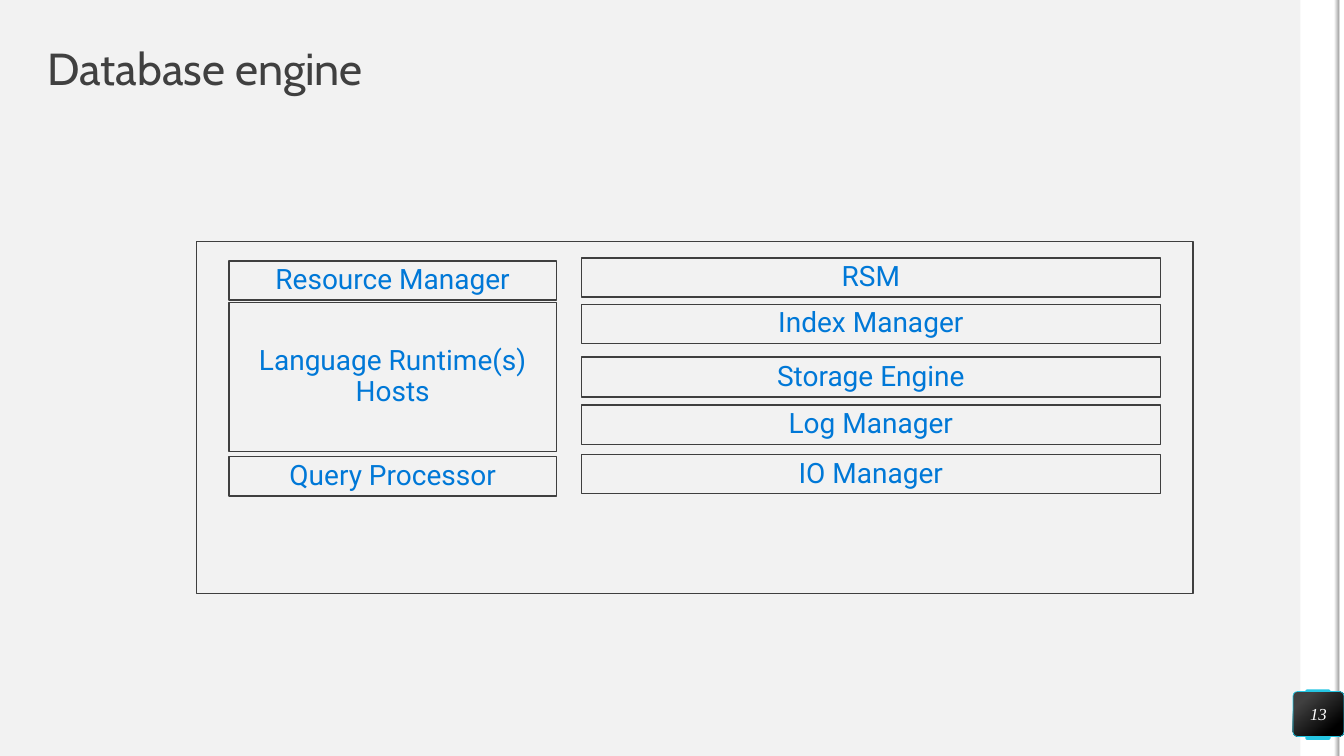
from pptx import Presentation
from pptx import util as u
from pptx.dml import color
from pptx.enum import shapes, text

TITLE = "Database engine"
PAGE_NUMBER = "13"
ROW_HEIGHT = 28
COLUMNS = [
    {"left": 163.5, "width": 234, "rows": [
        ("Resource Manager", 186.4, ROW_HEIGHT),
        ("Language Runtime(s) Hosts", 216, 106.5),
        ("Query Processor", 326.2, ROW_HEIGHT),
    ]},
    {"left": 415.4, "width": 413.4, "rows": [
        ("RSM", 184.3, ROW_HEIGHT),
        ("Index Manager", 217.4, ROW_HEIGHT),
        ("Storage Engine", 254.9, 28.8),
        ("Log Manager", 289.4, ROW_HEIGHT),
        ("IO Manager", 324.7, ROW_HEIGHT),
    ]},
]
ENGINE_FRAME = (140.4, 172.6, 711.8, 251.3)
THEME = {
    "background": "F2F2F2", "white": "FFFFFF", "accent": "25C6E3",
    "edge": "A6A6A6", "badge_light": "404040", "badge_dark": "000000",
    "outline": "3F3F3F", "title": "404040", "label": "0078D7",
    "title_font": "Cabin", "label_font": "Roboto", "number_font": "Times New Roman",
    "title_size": 32, "label_size": 20, "number_size": 12,
}
WIDTH, HEIGHT = 960, 540
RECTANGLE = shapes.MSO_SHAPE.RECTANGLE
ROUNDED = shapes.MSO_SHAPE.ROUNDED_RECTANGLE


def rgb(name):
    return color.RGBColor.from_string(THEME[name])


def add_box(slide, bounds, fill=None, line=None, line_width=1, kind=RECTANGLE, corner=None):
    shape = slide.shapes.add_shape(kind, *map(u.Pt, bounds))
    shape.shadow.inherit = False
    if corner is not None:
        shape.adjustments[0] = corner
    if fill:
        shape.fill.solid()
        shape.fill.fore_color.rgb = rgb(fill)
    else:
        shape.fill.background()
    if line:
        shape.line.color.rgb = rgb(line)
        shape.line.width = u.Pt(line_width)
    else:
        shape.line.fill.background()
    return shape


def set_gradient(shape, angle, stops):
    shape.fill.gradient()
    shape.fill.gradient_angle = angle
    for stop, (name, position) in zip(shape.fill.gradient_stops, stops):
        stop.color.rgb = rgb(name)
        stop.position = position


def write(shape, words, role, tint, align, margin=0, spacing=None):
    frame = shape.text_frame
    frame.word_wrap = True
    frame.vertical_anchor = text.MSO_ANCHOR.MIDDLE
    frame.margin_left = frame.margin_right = u.Pt(margin)
    frame.margin_top = frame.margin_bottom = 0
    paragraph = frame.paragraphs[0]
    paragraph.text = words
    paragraph.alignment = align
    paragraph.line_spacing = spacing
    paragraph.font.name = THEME[role + "_font"]
    paragraph.font.size = u.Pt(THEME[role + "_size"])
    paragraph.font.color.rgb = rgb(tint)
    return paragraph


def add_side_band(slide):
    add_box(slide, (928.8, 0, 28.1, HEIGHT), "white")
    add_box(slide, (929 + 3.4, 492.5, 18, 36), "accent", kind=ROUNDED, corner=0.07)
    add_box(slide, (956.5, 0, 3.5, HEIGHT), "white")
    edge = add_box(slide, (952.9, 0, 3.6, HEIGHT))
    set_gradient(edge, 0, [("white", 0), ("edge", 1)])


def add_badge(slide):
    badge = add_box(slide, (923.6, 494, 36.4, 32), line="accent", line_width=0.5,
                    kind=ROUNDED, corner=0.1)
    set_gradient(badge, 310, [("badge_light", 0.2), ("badge_dark", 0.82)])
    number = write(badge, PAGE_NUMBER, "number", "white", text.PP_ALIGN.CENTER)
    number.font.italic = True


def main():
    presentation = Presentation()
    presentation.slide_width, presentation.slide_height = u.Pt(WIDTH), u.Pt(HEIGHT)
    slide = presentation.slides.add_slide(presentation.slide_layouts[6])
    slide.background.fill.solid()
    slide.background.fill.fore_color.rgb = rgb("background")

    add_side_band(slide)
    title = slide.shapes.add_textbox(*map(u.Pt, (33.8, 33.8, 892, 33.8)))
    write(title, TITLE, "title", "title", text.PP_ALIGN.LEFT, spacing=0.9)
    add_badge(slide)

    for column in COLUMNS:
        for label, top, height in column["rows"]:
            box = add_box(slide, (column["left"], top, column["width"], height), line="outline")
            write(box, label, "label", "label", text.PP_ALIGN.CENTER, 7.2, 0.9)
    add_box(slide, ENGINE_FRAME, line="outline")

    presentation.save("out.pptx")


if __name__ == "__main__":
    main()
